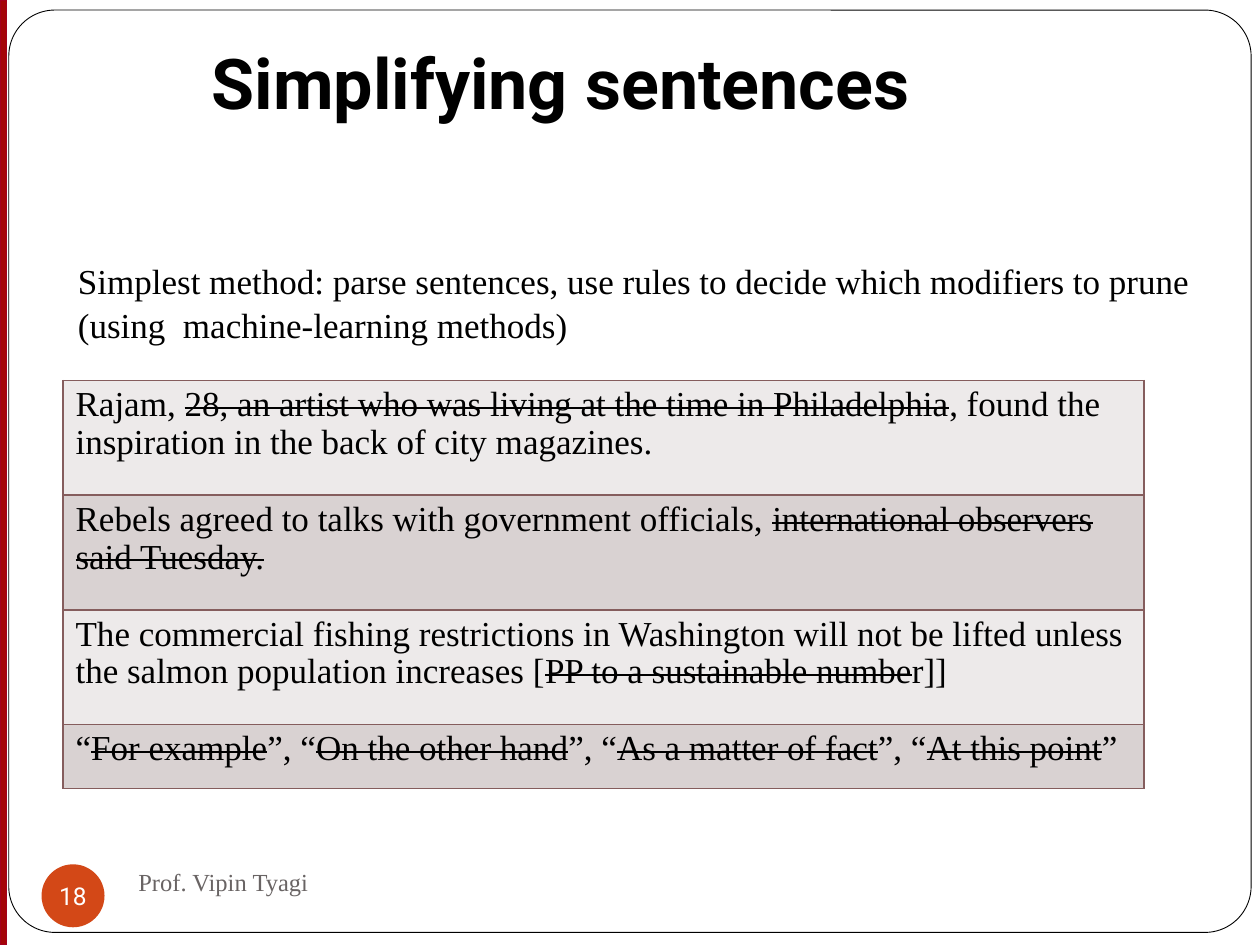
from lxml import etree
from pptx import Presentation
from pptx.dml.color import RGBColor
from pptx.enum.shapes import MSO_SHAPE
from pptx.enum.text import MSO_ANCHOR, PP_ALIGN
from pptx.oxml.ns import qn
from pptx.util import Inches, Pt

LEFT, CENTER = PP_ALIGN.LEFT, PP_ALIGN.CENTER
TOP, MIDDLE, BOTTOM = MSO_ANCHOR.TOP, MSO_ANCHOR.MIDDLE, MSO_ANCHOR.BOTTOM
ROUNDED, RECTANGLE, OVAL = MSO_SHAPE.ROUNDED_RECTANGLE, MSO_SHAPE.RECTANGLE, MSO_SHAPE.OVAL

# Content: text between tildes is struck through
TITLE = "Simplifying sentences"
METHOD = ("Simplest method: parse sentences, use rules to decide which modifiers "
          "to prune (using  machine-learning methods)")
EXAMPLES = [
    ("Rajam, ~28, an artist who was living at the time in Philadelphia~, found the "
     "inspiration in the back of city magazines.", 0.91),
    ("Rebels agreed to talks with government officials, "
     "~international observers said Tuesday.~", 0.91),
    ("The commercial fishing restrictions in Washington will not be lifted unless the "
     "salmon population increases [~PP to a sustainable numbe~r]]", 0.91),
    ("“~For example~”, “~On the other hand~”, “~As a matter of fact~”, "
     "“~At this point~”", 0.51),
]
AUTHOR = "Prof. Vipin Tyagi"
PAGE = "18"

SANS, SERIF = "Roboto", "Times New Roman"
COLORS = {
    "text": "000000", "white": "FFFFFF", "footer": "696464",
    "strip": "A40508", "strip_line": "A4001D", "badge": "D34817",
    "border": "855D5D", "light_row": "EDEAEA", "dark_row": "D9D2D2",
}


def rgb(name):
    return RGBColor.from_string(COLORS[name])


def style(paragraph, font_name, size, color="text", bold=False, align=LEFT):
    paragraph.alignment = align
    font = paragraph.font
    font.name, font.size, font.bold = font_name, Pt(size), bold
    font.color.rgb = rgb(color)


def add_panel(slide, kind, box, fill, line=None, width=0):
    panel = slide.shapes.add_shape(kind, *map(Inches, box))
    panel.shadow.inherit = False
    panel.fill.solid()
    panel.fill.fore_color.rgb = rgb(fill)
    if line:
        panel.line.color.rgb = rgb(line)
        panel.line.width = Pt(width)
    else:
        panel.line.fill.background()
    return panel


def add_text(slide, box, text, size, color="text", anchor=TOP):
    frame = slide.shapes.add_textbox(*map(Inches, box)).text_frame
    frame.word_wrap = True
    frame.vertical_anchor = anchor
    paragraph = frame.paragraphs[0]
    paragraph.text = text
    style(paragraph, SERIF, size, color)
    return paragraph


def add_borders(cell, color, width):
    properties = cell._tc.get_or_add_tcPr()
    for position, side in enumerate(("lnL", "lnR", "lnT", "lnB")):
        line = etree.Element(qn(f"a:{side}"), w=str(Pt(width)))
        fill = etree.SubElement(line, qn("a:solidFill"))
        etree.SubElement(fill, qn("a:srgbClr"), val=COLORS[color])
        properties.insert(position, line)


def add_marked_runs(paragraph, text):
    for index, part in enumerate(text.split("~")):
        if part:
            run = paragraph.add_run()
            run.text = part
            if index % 2:
                run.font._element.set("strike", "sngStrike")


def add_examples(slide, left, top, width):
    height = sum(row_height for _, row_height in EXAMPLES)
    table = slide.shapes.add_table(
        len(EXAMPLES), 1, *map(Inches, (left, top, width, height))).table
    table.first_row = False
    for index, (text, row_height) in enumerate(EXAMPLES):
        table.rows[index].height = Inches(row_height)
        cell = table.cell(index, 0)
        cell.fill.solid()
        cell.fill.fore_color.rgb = rgb("dark_row" if index % 2 else "light_row")
        add_borders(cell, "border", 1)
        paragraph = cell.text_frame.paragraphs[0]
        add_marked_runs(paragraph, text)
        style(paragraph, SERIF, 20)
        paragraph.line_spacing = 0.97


def main():
    deck = Presentation()
    deck.slide_width, deck.slide_height = Inches(10), Inches(7.5)
    slide = deck.slides.add_slide(deck.slide_layouts[5])
    title = slide.shapes.title

    # Frame and red edge, kept behind the title
    frame = add_panel(slide, ROUNDED, (0.07, 0.08, 9.86, 7.32), "white", "text", 0.5)
    frame.adjustments[0] = 0.05
    add_panel(slide, RECTANGLE, (0, 0, 0.05, 7.5), "strip", "strip_line", 0.75)
    slide.shapes._spTree.append(title._element)

    # Title
    title.left, title.top, title.width, title.height = map(Inches, (1.58, 0, 8.08, 1.08))
    title.text_frame.text = TITLE
    title.text_frame.vertical_anchor = BOTTOM
    title.text_frame.margin_bottom = Inches(0.1)
    style(title.text_frame.paragraphs[0], SANS, 40, bold=True)

    # Page number badge
    badge = add_panel(slide, OVAL, (0.33, 6.86, 0.5, 0.5), "badge").text_frame
    badge.margin_left = badge.margin_right = badge.margin_top = badge.margin_bottom = 0
    badge.word_wrap = False
    badge.vertical_anchor = MIDDLE
    badge.text = PAGE
    style(badge.paragraphs[0], SANS, 14, "white", align=CENTER)

    # Examples, method and footer
    add_examples(slide, 0.5, 3.02, 8.58)
    method = add_text(slide, (0.52, 2, 9.07, 0.77), METHOD, 20)
    method.line_spacing = 1.04
    add_text(slide, (1, 6.75, 4.33, 0.5), AUTHOR, 14, "footer", MIDDLE)

    deck.save("out.pptx")


if __name__ == "__main__":
    main()
